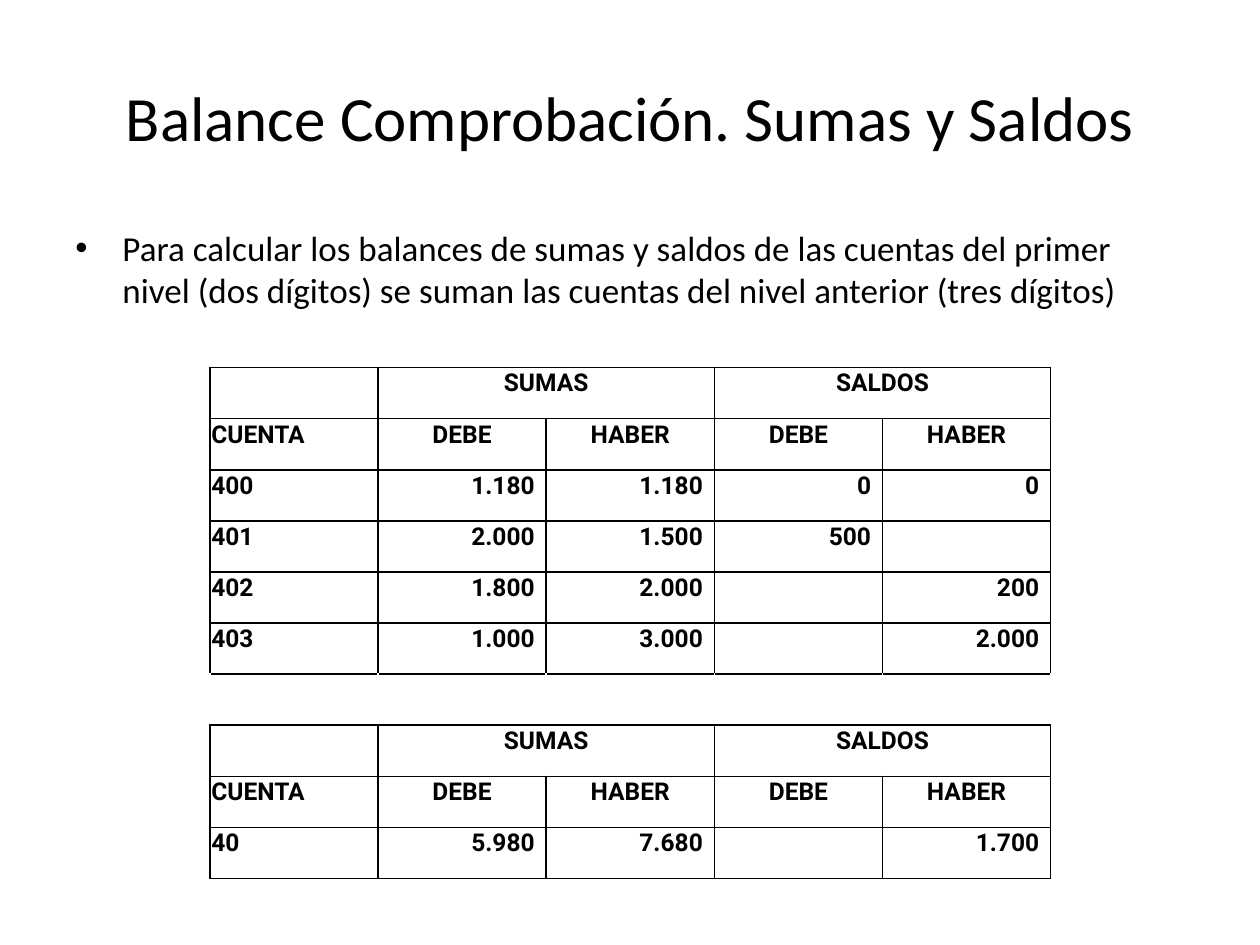
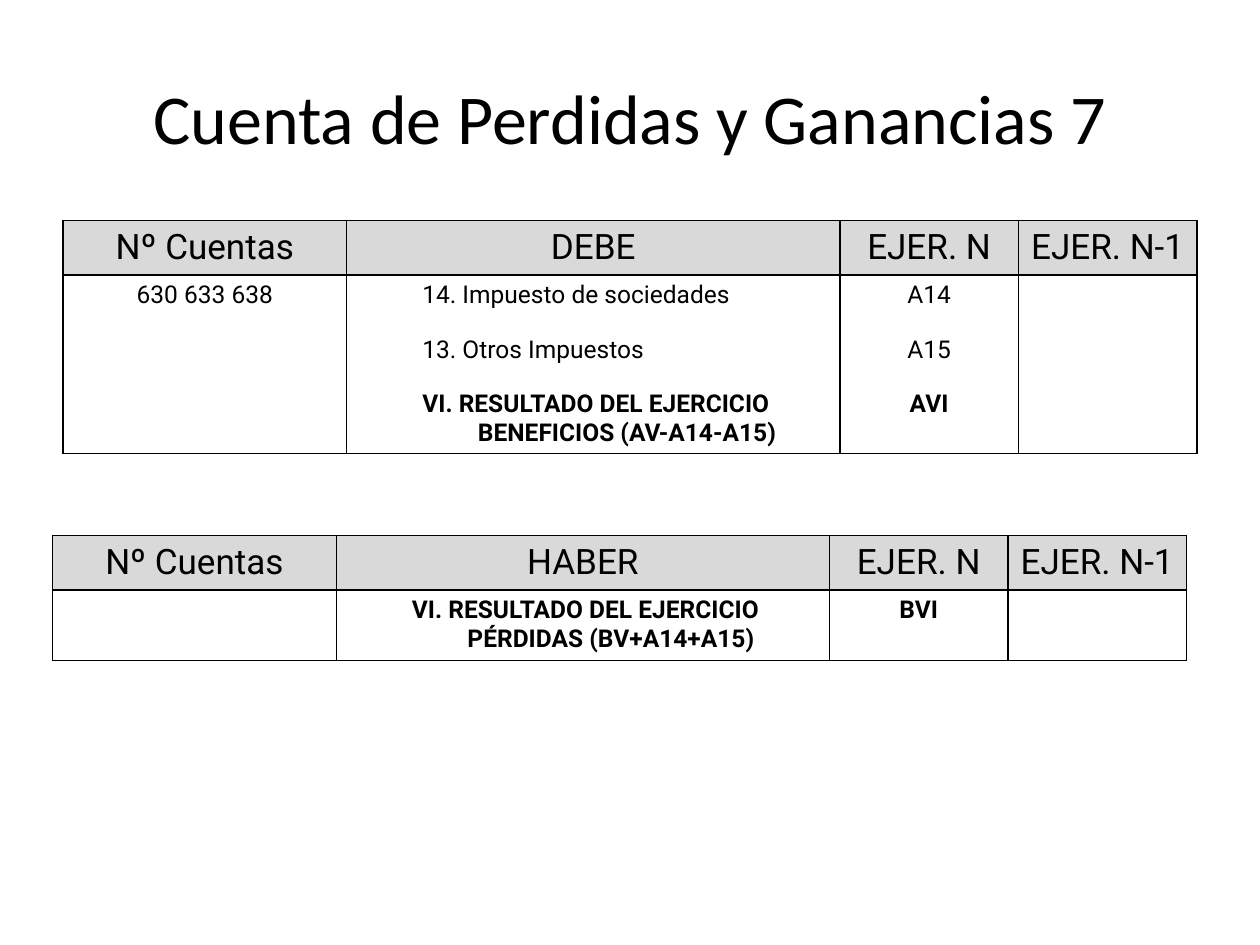
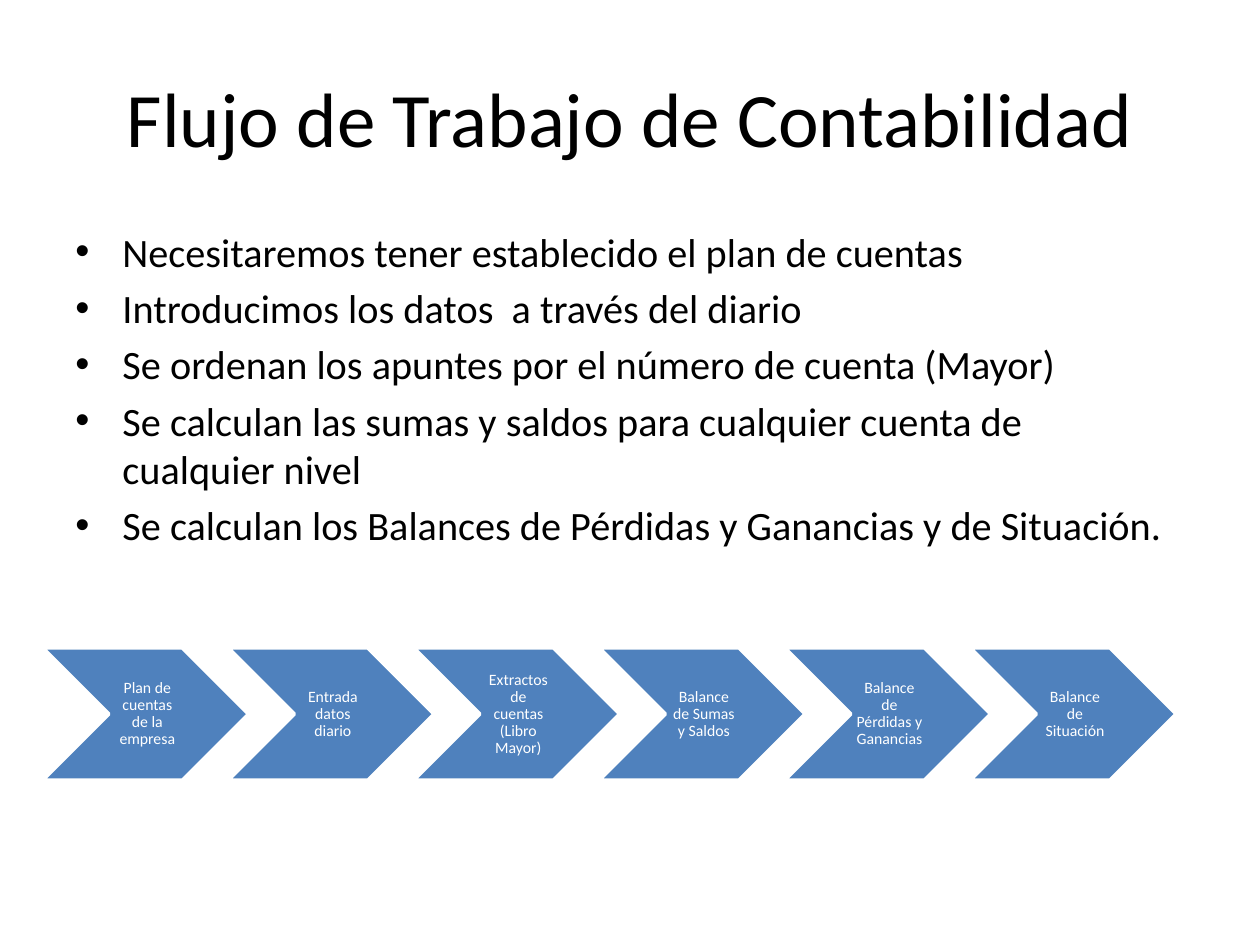
from lxml import etree
from pptx import Presentation
from pptx.dml.color import RGBColor
from pptx.enum.shapes import MSO_SHAPE
from pptx.enum.text import MSO_ANCHOR, PP_ALIGN
from pptx.oxml.ns import qn
from pptx.util import Cm, Pt

CHEVRON = MSO_SHAPE.CHEVRON
MIDDLE = MSO_ANCHOR.MIDDLE
LEFT, CENTER, RIGHT = PP_ALIGN.LEFT, PP_ALIGN.CENTER, PP_ALIGN.RIGHT

BLACK = RGBColor(0x00, 0x00, 0x00)
WHITE = RGBColor(0xFF, 0xFF, 0xFF)
GRAY = RGBColor(0xD9, 0xD9, 0xD9)
BLUE = RGBColor(0x4F, 0x81, 0xBD)
TEXT_FONT, TABLE_FONT = "Calibri", "Roboto"

MARGIN, CONTENT_WIDTH = Cm(1.27), Cm(22.86)
TITLE_ONLY = 5

# Trial balance: None in a row joins the cell to the one on its left
BALANCE_HEAD = [["", "SUMAS", None, "SALDOS", None],
                ["CUENTA", "DEBE", "HABER", "DEBE", "HABER"]]
BALANCE_ROWS = BALANCE_HEAD + [
    ["400", "1.180", "1.180", "0", "0"],
    ["401", "2.000", "1.500", "500", ""],
    ["402", "1.800", "2.000", "", "200"],
    ["403", "1.000", "3.000", "", "2.000"],
    [""] * 5,
] + BALANCE_HEAD + [["40", "5.980", "7.680", "", "1.700"]]
GAP_ROW = 6

# Profit and loss account
RESULT_WIDTHS = [Cm(5.72), Cm(9.94), Cm(3.6), Cm(3.6)]
LINE_HEIGHT, TOTAL_HEIGHT = Cm(1.09), Cm(1.42)
DEBIT_ROWS = [
    ["630 633 638", "14. Impuesto de sociedades", "A14", ""],
    ["", "13. Otros Impuestos", "A15", ""],
    ["", "VI. RESULTADO DEL EJERCICIO BENEFICIOS (AV-A14-A15)", "AVI", ""],
]
CREDIT_ROWS = [
    ["", "VI. RESULTADO DEL EJERCICIO PÉRDIDAS (BV+A14+A15)", "BVI", ""],
]

# Accounting workflow
WORKFLOW_POINTS = [
    "Necesitaremos tener establecido el plan de cuentas",
    "Introducimos los datos  a través del diario",
    "Se ordenan los apuntes por el número de cuenta (Mayor)",
    "Se calculan las sumas y saldos para cualquier cuenta de cualquier nivel",
    "Se calculan los Balances de Pérdidas y Ganancias y de Situación.",
]
WORKFLOW_STEPS = [
    "Plan de cuentas de la empresa",
    "Entrada datos diario",
    "Extractos de cuentas (Libro Mayor)",
    "Balance de Sumas y Saldos",
    "Balance de Pérdidas y Ganancias",
    "Balance de Situación",
]


def format_paragraph(paragraph, size, font=TEXT_FONT, color=BLACK, bold=False,
                     align=LEFT):
    paragraph.alignment = align
    for run in paragraph.runs:
        run.font.size = Pt(size)
        run.font.name = font
        run.font.bold = bold
        run.font.color.rgb = color


def set_indent(paragraph, margin, first_line):
    properties = paragraph._p.get_or_add_pPr()
    properties.set("marL", str(margin))
    properties.set("indent", str(first_line))
    return properties


def add_titled_slide(prs, text, size):
    slide = prs.slides.add_slide(prs.slide_layouts[TITLE_ONLY])
    title = slide.shapes.title
    title.left, title.top = MARGIN, Cm(0.76)
    title.width, title.height = CONTENT_WIDTH, Cm(3.18)
    title.text_frame.text = text
    title.text_frame.vertical_anchor = MIDDLE
    format_paragraph(title.text_frame.paragraphs[0], size, align=CENTER)
    return slide


def add_bullets(slide, points, size):
    body = slide.shapes.add_textbox(MARGIN, Cm(4.45), CONTENT_WIDTH, Cm(12.57))
    frame = body.text_frame
    frame.word_wrap = True
    frame.text = "\n".join(points)
    for paragraph in frame.paragraphs:
        format_paragraph(paragraph, size)
        paragraph.space_before = Pt(size * 0.2)
        properties = set_indent(paragraph, Cm(0.95), -Cm(0.95))
        etree.SubElement(properties, qn("a:buFont"), typeface="Arial")
        etree.SubElement(properties, qn("a:buChar"), char="•")


def set_borders(cell, **colors):
    """Draw 1 pt borders on sides L, R, T and B; a missing side has no line."""
    properties = cell._tc.get_or_add_tcPr()
    for side in "LRTB":
        line = etree.SubElement(properties, qn("a:ln" + side), w=str(Pt(1)))
        if side in colors:
            fill = etree.SubElement(line, qn("a:solidFill"))
            etree.SubElement(fill, qn("a:srgbClr"), val=str(colors[side]))
        else:
            etree.SubElement(line, qn("a:noFill"))


def add_plain_table(slide, left, top, widths, heights):
    frame = slide.shapes.add_table(len(heights), len(widths), left, top,
                                   sum(widths), sum(heights))
    table = frame.table
    table.first_row = table.horz_banding = False
    for column, width in zip(table.columns, widths):
        column.width = width
    for row, height in zip(table.rows, heights):
        row.height = height
    return table


def fill_cell(cell, text, size, bold=False, align=LEFT, fill=None):
    cell.text_frame.text = text
    paragraph = cell.text_frame.paragraphs[0]
    format_paragraph(paragraph, size, TABLE_FONT, bold=bold, align=align)
    if fill is None:
        cell.fill.background()
    else:
        cell.fill.solid()
        cell.fill.fore_color.rgb = fill
    return paragraph


def add_balance_table(slide):
    table = add_plain_table(slide, Cm(4.23), Cm(7.41), [Cm(3.39)] * 5,
                            [Cm(1.03)] * len(BALANCE_ROWS))
    for r, values in enumerate(BALANCE_ROWS):
        side_color = WHITE if r == GAP_ROW else BLACK
        for c, value in enumerate(values):
            cell = table.cell(r, c)
            is_amount = c > 0 and values not in BALANCE_HEAD
            set_borders(cell, L=side_color, R=side_color, T=BLACK, B=BLACK)
            cell.margin_left = cell.margin_top = Cm(0.03)
            cell.margin_right = Cm(0.23) if is_amount else Cm(0.03)
            cell.margin_bottom = 0
            align = RIGHT if is_amount else CENTER if c else LEFT
            fill_cell(cell, value or "", 14, True, align)
            if value is None:
                table.cell(r, c - 1).merge(cell)


def add_result_table(slide, left, top, side_name, rows):
    """Gray heading over one framed body whose last line is the result."""
    last = len(rows)
    heights = [LINE_HEIGHT] * last + [TOTAL_HEIGHT]
    table = add_plain_table(slide, left, top, RESULT_WIDTHS, heights)
    heading = ["Nº Cuentas", side_name, "EJER. N", "EJER. N-1"]
    for c, label in enumerate(heading):
        cell = table.cell(0, c)
        set_borders(cell, L=BLACK, R=BLACK, T=BLACK, B=BLACK)
        fill_cell(cell, label, 20, align=CENTER, fill=GRAY)
    for r, values in enumerate(rows, 1):
        ends = {}
        if r == 1:
            ends["T"] = BLACK
        if r == last:
            ends["B"] = BLACK
        for c, value in enumerate(values):
            cell = table.cell(r, c)
            set_borders(cell, L=BLACK, R=BLACK, **ends)
            paragraph = fill_cell(cell, value, 14, r == last,
                                  LEFT if c == 1 else CENTER)
            if c == 1:
                hanging = Cm(1.12) if r == last else 0
                set_indent(paragraph, Cm(1.27) + hanging, -hanging)


def add_workflow(slide, steps):
    for i, label in enumerate(steps):
        step = slide.shapes.add_shape(CHEVRON, Cm(0.86) + i * Cm(3.74),
                                      Cm(13.06), Cm(4.15), Cm(2.67))
        step.shadow.inherit = False
        step.fill.solid()
        step.fill.fore_color.rgb = BLUE
        step.line.color.rgb = WHITE
        step.line.width = Pt(2)
        frame = step.text_frame
        frame.word_wrap = True
        frame.vertical_anchor = MIDDLE
        frame.margin_left = Cm(0.1)
        frame.margin_right = frame.margin_top = frame.margin_bottom = Cm(0.03)
        frame.text = label
        format_paragraph(frame.paragraphs[0], 9, color=WHITE, align=CENTER)
        frame.paragraphs[0].line_spacing = 0.9


def main():
    prs = Presentation()
    prs.slide_width, prs.slide_height = Cm(25.4), Cm(19.05)

    # Trial balance
    slide = add_titled_slide(prs, "Balance Comprobación. Sumas y Saldos", 36)
    add_bullets(slide, ["Para calcular los balances de sumas y saldos de las "
                        "cuentas del primer nivel (dos dígitos) se suman las "
                        "cuentas del nivel anterior (tres dígitos)"], 20)
    add_balance_table(slide)

    # Profit and loss account
    slide = add_titled_slide(prs, "Cuenta de Perdidas y Ganancias 7", 40)
    add_result_table(slide, MARGIN, Cm(4.45), "DEBE", DEBIT_ROWS)
    add_result_table(slide, Cm(1.06), Cm(10.8), "HABER", CREDIT_ROWS)

    # Accounting workflow
    slide = add_titled_slide(prs, "Flujo de Trabajo de Contabilidad", 44)
    add_bullets(slide, WORKFLOW_POINTS, 23)
    add_workflow(slide, WORKFLOW_STEPS)

    prs.save("out.pptx")


main()
